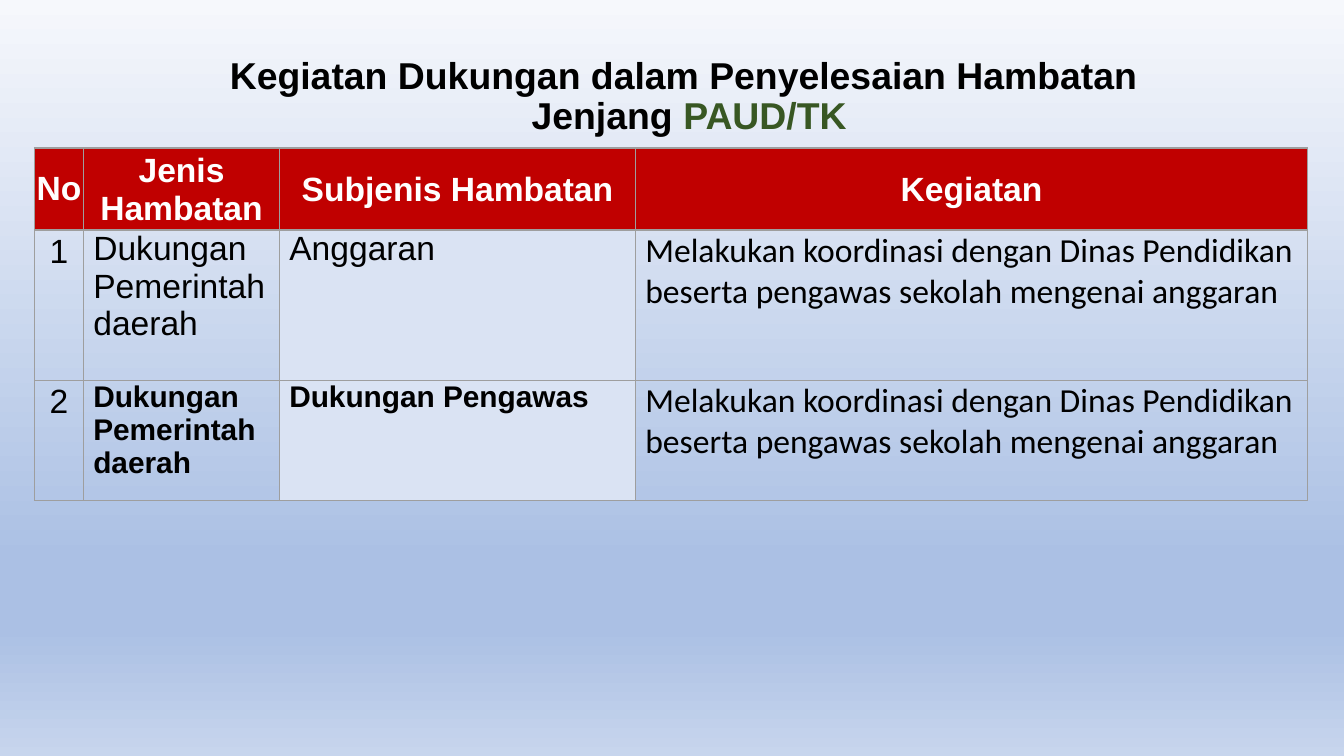
from dataclasses import dataclass

from pptx import Presentation, util as u
from pptx.dml.color import RGBColor
from pptx.enum import text
from pptx.oxml.ns import qn
from lxml import etree

Pt = u.Pt


@dataclass(frozen=True)
class Theme:
    ink: str = "000000"
    white: str = "FFFFFF"
    level: str = "385723"
    header: str = "C00000"
    subtype: str = "DAE3F3"
    border: str = "9E9E9E"
    backdrop: tuple = ((0, "F6F8FC"), (74, "ABC0E4"), (83, "ABC0E4"), (100, "C7D5ED"))
    sans: str = "Arial"
    activity: str = "Calibri"
    title_size: int = 20
    body_size: int = 18
    small_size: int = 16


THEME = Theme()
COLUMN_WIDTHS = (26.25, 105, 190.75, 360)
ROW_HEIGHTS = (40.75, 80.5, 64.25)
HEADINGS = ("No", "Jenis Hambatan", "Subjenis Hambatan", "Kegiatan")
ACTIVITY = "Melakukan koordinasi dengan Dinas Pendidikan beserta pengawas sekolah mengenai anggaran"
OBSTACLES = (
    ("1", "Dukungan Pemerintah daerah", "Anggaran", ACTIVITY),
    ("2", "Dukungan Pemerintah daerah", "Dukungan Pengawas", ACTIVITY),
)


def write(paragraph, words, *, size=THEME.body_size, font=THEME.sans, color=THEME.ink,
          bold=False, align=text.PP_ALIGN.LEFT, spacing=1.0):
    """Append words as runs; a newline becomes a line break."""
    paragraph.alignment = align
    paragraph.line_spacing = spacing
    for index, line in enumerate(words.split("\n")):
        if index:
            paragraph.add_line_break()
        run = paragraph.add_run()
        run.text = line
        run.font.size = Pt(size)
        run.font.name = font
        run.font.bold = bold
        run.font.color.rgb = RGBColor.from_string(color)


def set_margins(holder, left, top, right, bottom):
    holder.margin_left, holder.margin_top = Pt(left), Pt(top)
    holder.margin_right, holder.margin_bottom = Pt(right), Pt(bottom)


def paint_backdrop(slide):
    fill = slide.background.fill
    fill.gradient()
    fill.gradient_angle = 270
    stops = slide.element.find(".//" + qn("a:gsLst"))
    for stop in list(stops):
        stops.remove(stop)
    for position, color in THEME.backdrop:
        stop = etree.SubElement(stops, qn("a:gs"), pos=str(position * 1000))
        etree.SubElement(stop, qn("a:srgbClr"), val=color)


def add_title(slide):
    frame = slide.shapes.add_textbox(Pt(59), Pt(19.5), Pt(620.5), Pt(65.5)).text_frame
    frame.word_wrap = True
    frame.vertical_anchor = text.MSO_ANCHOR.MIDDLE
    set_margins(frame, 5.25, 2.75, 5.25, 2.75)
    style = dict(size=THEME.title_size, bold=True, align=text.PP_ALIGN.CENTER, spacing=0.9)
    heading = frame.paragraphs[0]
    write(heading, "Kegiatan Dukungan dalam Penyelesaian Hambatan \nJenjang ", **style)
    write(heading, "PAUD/TK", color=THEME.level, **style)


def outline(cell):
    properties = cell._tc.get_or_add_tcPr()
    for side in ("lnL", "lnR", "lnT", "lnB"):
        line = etree.SubElement(properties, qn(f"a:{side}"), w=str(Pt(0.75)))
        fill = etree.SubElement(line, qn("a:solidFill"))
        etree.SubElement(fill, qn("a:srgbClr"), val=THEME.border)


def fill_cell(cell, words, *, fill=None, margins=(5.25, 0, 5.25, 0),
              anchor=text.MSO_ANCHOR.TOP, **style):
    outline(cell)
    if fill:
        cell.fill.solid()
        cell.fill.fore_color.rgb = RGBColor.from_string(fill)
    else:
        cell.fill.background()
    set_margins(cell, *margins)
    cell.vertical_anchor = anchor
    write(cell.text_frame.paragraphs[0], words, **style)


def add_obstacle_table(slide):
    table = slide.shapes.add_table(
        len(ROW_HEIGHTS), len(COLUMN_WIDTHS), Pt(18.5), Pt(79.25),
        Pt(sum(COLUMN_WIDTHS)), Pt(sum(ROW_HEIGHTS))).table
    table.first_row = table.horz_banding = False
    for column, width in zip(table.columns, COLUMN_WIDTHS):
        column.width = Pt(width)
    for row, height in zip(table.rows, ROW_HEIGHTS):
        row.height = Pt(height)

    for column, heading in enumerate(HEADINGS):
        margins = (0.75, 0.75, 0.75, 0) if column else (0, 0, 0, 0)
        fill_cell(table.cell(0, column), heading, fill=THEME.header, margins=margins,
                  anchor=text.MSO_ANCHOR.MIDDLE, color=THEME.white, bold=True,
                  align=text.PP_ALIGN.CENTER)

    emphasis = ({}, dict(size=THEME.small_size, bold=True))
    for row, (obstacle, style) in enumerate(zip(OBSTACLES, emphasis), start=1):
        number, kind, subtype, activity = obstacle
        fill_cell(table.cell(row, 0), number, align=text.PP_ALIGN.CENTER, spacing=1.07)
        fill_cell(table.cell(row, 1), kind, **style)
        fill_cell(table.cell(row, 2), subtype, fill=THEME.subtype, **style)
        fill_cell(table.cell(row, 3), activity, font=THEME.activity)


def main():
    deck = Presentation()
    deck.slide_width, deck.slide_height = Pt(720), Pt(405)
    slide = deck.slides.add_slide(deck.slide_layouts[6])
    paint_backdrop(slide)
    add_title(slide)
    add_obstacle_table(slide)
    deck.save("out.pptx")


if __name__ == "__main__":
    main()
